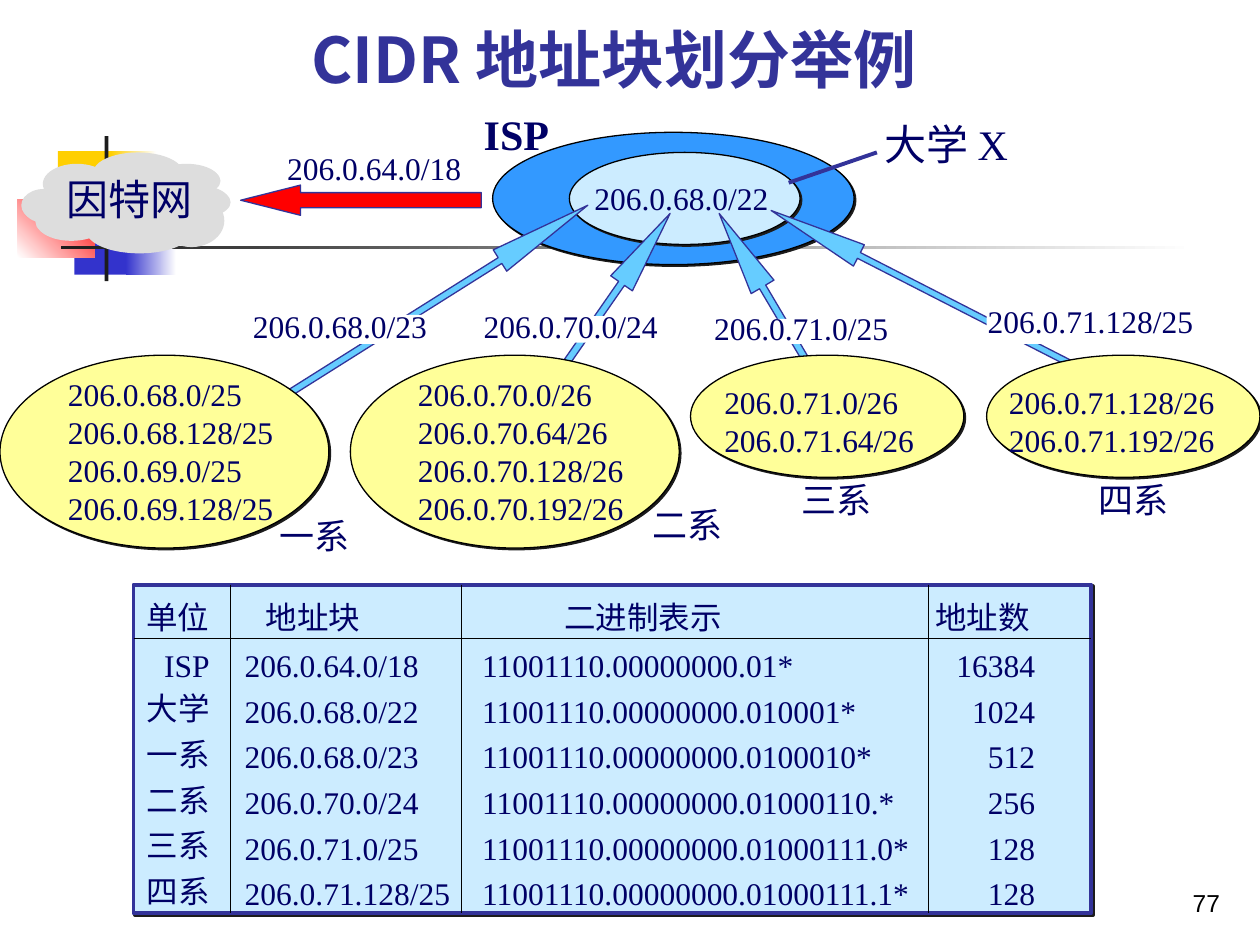
import pptx
import pptx.util
import pptx.dml.color
import pptx.enum.shapes
import pptx.enum.text
import pptx.oxml
import pptx.oxml.ns

Pt = pptx.util.Pt
SHAPE = pptx.enum.shapes.MSO_SHAPE
ALIGN = pptx.enum.text.PP_ALIGN
ANCHOR = pptx.enum.text.MSO_ANCHOR
NS = pptx.oxml.ns.nsdecls("a")
SERIF = "Times New Roman"
CJK = "Noto Sans CJK JP"
COLORS = {
    "ink": "000066", "title": "333399", "black": "000000", "white": "FFFFFF",
    "dark": "1C1C1C", "yellow": "FFCF01", "blue": "3333CC", "red": "FF0000",
    "cloud": "DDDDDD", "isp": "3399FF", "pale": "CCECFF", "arrow": "66CCFF",
    "department": "FFFF99",
}


def rgb(color):
    return pptx.dml.color.RGBColor.from_string(COLORS[color])


class SlideBuilder:
    def __init__(self, slide):
        self.slide = slide

    def shape(self, kind, box, fill, line=None, width=0.75, shadow=False, parent=None):
        shape = (parent or self.slide).shapes.add_shape(kind, *map(Pt, box))
        shape.shadow.inherit = False
        if isinstance(fill, tuple):
            start, end, angle = fill
            shape.fill.gradient()
            shape.fill.gradient_angle = angle
            for stop, color in zip(shape.fill.gradient_stops, (start, end)):
                stop.color.rgb = rgb(color)
        else:
            shape.fill.solid()
            shape.fill.fore_color.rgb = rgb(fill)
        if line:
            shape.line.color.rgb = rgb(line)
            shape.line.width = Pt(width)
        else:
            shape.line.fill.background()
        if shadow:
            effects = shape._element.spPr.find(pptx.oxml.ns.qn("a:effectLst"))
            effects.append(pptx.oxml.parse_xml(
                f'<a:outerShdw {NS} blurRad="0" dist="{Pt(1.4)}" dir="2700000">'
                f'<a:srgbClr val="{COLORS["dark"]}"/></a:outerShdw>'))
        return shape

    def arrow(self, box, fill, shaft, head, rotation=0):
        arrow = self.shape(SHAPE.LEFT_ARROW, box, fill, "title")
        arrow.adjustments[0], arrow.adjustments[1] = shaft, head
        arrow.rotation = rotation

    def run(self, paragraph, text, size, color="ink", font=SERIF, bold=False):
        run = paragraph.add_run()
        run.text = text
        run.font.size = Pt(size)
        run.font.bold = bold
        run.font.color.rgb = rgb(color)
        run.font.name = font
        run._r.get_or_add_rPr().append(
            pptx.oxml.parse_xml(f'<a:ea {NS} typeface="{CJK}"/>'))

    def text(self, box, lines, size=18, align=ALIGN.LEFT, anchor=ANCHOR.TOP,
             wrap=False, inset=(7.2, 3.6), **style):
        frame = self.slide.shapes.add_textbox(*map(Pt, box)).text_frame
        frame.word_wrap = wrap
        frame.vertical_anchor = anchor
        frame.margin_left = frame.margin_right = Pt(inset[0])
        frame.margin_top = frame.margin_bottom = Pt(inset[1])
        for index, line in enumerate(lines):
            paragraph = frame.add_paragraph() if index else frame.paragraphs[0]
            paragraph.alignment = align
            self.run(paragraph, line, size, **style)

    def line(self, start, end, color, width):
        line = self.slide.shapes.add_connector(
            pptx.enum.shapes.MSO_CONNECTOR.STRAIGHT, *map(Pt, start + end))
        line.line.color.rgb = rgb(color)
        line.line.width = Pt(width)
        line._element.spPr.append(pptx.oxml.parse_xml(f"<a:effectLst {NS}/>"))

    def borders(self, cell, visible):
        for side in "LRTB":
            paint = (f'<a:solidFill><a:srgbClr val="{COLORS["black"]}"/></a:solidFill>'
                     if side in visible else "<a:noFill/>")
            cell._tc.get_or_add_tcPr().append(pptx.oxml.parse_xml(
                f'<a:ln{side} {NS} w="{Pt(0.75)}">{paint}</a:ln{side}>'))

    def table(self, left, top, widths, heights, rows, header_margins, body_margins, aligns):
        table = self.slide.shapes.add_table(
            len(rows), len(widths), Pt(left), Pt(top),
            Pt(sum(widths)), Pt(sum(heights))).table
        table.first_row = table.horz_banding = False
        for column, width in zip(table.columns, widths):
            column.width = Pt(width)
        for r, values in enumerate(rows):
            table.rows[r].height = Pt(heights[r])
            for c, value in enumerate(values):
                cell = table.cell(r, c)
                cell.margin_top = cell.margin_bottom = 0
                cell.margin_left, cell.margin_right = map(
                    Pt, (body_margins if r else header_margins)[c])
                cell.vertical_anchor = ANCHOR.BOTTOM
                visible = ("L" if c else "") + ("R" if c < len(widths) - 1 else "")
                visible += {0: "B", 1: "T"}.get(r, "")
                self.borders(cell, visible)
                cell.fill.background()
                paragraph = cell.text_frame.paragraphs[0]
                paragraph.alignment = aligns[c] if r else ALIGN.LEFT
                self.run(paragraph, value, 18)


def main():
    deck = pptx.Presentation()
    deck.slide_width, deck.slide_height = Pt(720), Pt(540)
    page = SlideBuilder(deck.slides.add_slide(deck.slide_layouts[6]))

    for box, fill in [
        ((33.1, 86.4, 34.6, 37.4), "yellow"),
        ((63.4, 86.4, 25.9, 37.4), ("yellow", "white", 0)),
        ((42.5, 119.5, 33.1, 37.4), "blue"),
        ((72, 119.5, 28.8, 37.4), ("blue", "white", 0)),
        ((10.1, 113.8, 43.9, 33.1), ("white", "red", 45)),
        ((59.8, 77.8, 2.2, 82.8), "dark"),
        ((34.6, 140.4, 648, 2.2), ("dark", "white", 0)),
    ]:
        page.shape(SHAPE.RECTANGLE, box, fill)

    page.text((554.4, 491.8, 149.8, 36), ["77"], 14, ALIGN.RIGHT, ANCHOR.BOTTOM,
              wrap=True, color="black", font="Arial")
    page.text((48.2, 3.6, 605, 54.7), ["CIDR 地址块划分举例"], 36, ALIGN.CENTER,
              ANCHOR.BOTTOM, wrap=True, inset=(0, 3.6), color="title", font=CJK, bold=True)

    cloud = page.slide.shapes.add_group_shape()
    puffs = [
        (53.3, 87.1, 51.1, 23), (24.5, 93.6, 38.9, 23), (12.2, 108, 25.9, 18.7),
        (20.2, 116.6, 39.6, 20.2), (49, 119.5, 59.8, 24.5), (87.8, 93.6, 37.4, 18),
        (93.6, 105.8, 37.4, 18), (90, 110.2, 37.4, 30.2), (33.8, 100.8, 77, 30.2),
    ]
    for offset in (0.8, 0):
        for x, y, width, height in puffs:
            page.shape(SHAPE.OVAL, (x + offset, y + offset, width, height),
                       "cloud", parent=cloud)
    page.text((31, 95.8, 90, 36), ["因特网"], 24)

    page.shape(SHAPE.OVAL, (281.5, 75.6, 206.6, 75.6), "isp", "black", shadow=True)
    page.shape(SHAPE.OVAL, (325.4, 87.1, 131.8, 52.6), "pale", "black", shadow=True)
    page.text((332.6, 98.6, 113.8, 28.8), ["206.0.68.0/22"])
    page.text((157, 81.4, 113.8, 28.8), ["206.0.64.0/18"])
    page.arrow((137.5, 105.8, 137.5, 17.3), "red", 0.5, 1.98)
    page.text((269.3, 58.3, 51.8, 36), ["ISP"], 24, bold=True)
    page.text((498.2, 64.1, 90.7, 36), ["大学 X"], 24)
    page.line((450.7, 104.4), (501.1, 87.1), "title", 2.25)

    large, small = (187.9, 110.2), (156.2, 69.8)
    departments = [
        ("一系", (152.6, 290.2), (141.1, 166.3, 211, 14.4), 147.8, 4.12,
         "206.0.68.0/23", (137.5, 172.1), (144, 180, 105.8, 16.6), 0, large, (31.7, 211),
         ["206.0.68.0/25", "206.0.68.128/25", "206.0.69.0/25", "206.0.69.128/25"]),
        ("二系", (365.8, 284.4), (250.6, 183.6, 168.5, 15.1), 124.8, 3.22,
         "206.0.70.0/24", (269.3, 172.1), (275.8, 180.7, 106.6, 15.1), 200.2, large, (231.8, 211),
         ["206.0.70.0/26", "206.0.70.64/26", "206.0.70.128/26", "206.0.70.192/26"]),
        ("三系", (450.7, 270), (369.4, 187.2, 169.2, 15.1), 59.4, 3.23,
         "206.0.71.0/25", (401, 172.8), (406.8, 182.2, 105.8, 14.4), 394.6, small, (406.8, 215.3),
         ["206.0.71.0/26", "206.0.71.64/26"]),
        ("四系", (620.6, 270), (429.8, 158.4, 197.3, 13.7), 27.1, 4.12,
         "206.0.71.128/25", (557.3, 169.2), (563.8, 180, 124.6, 16.6), 563.8, small, (569.5, 215.3),
         ["206.0.71.128/26", "206.0.71.192/26"]),
    ]
    for (name, name_at, arrow_box, rotation, head, block, block_at, gap_box,
         oval_left, oval_size, subnets_at, subnets) in departments:
        page.arrow(arrow_box, "arrow", 0.27, head, rotation)
        page.shape(SHAPE.RECTANGLE, gap_box, "white")
        page.text(block_at + (131.8, 28.8), [block])
        page.shape(SHAPE.OVAL, (oval_left, 203) + oval_size, "department", "black", shadow=True)
        page.text(subnets_at + (131.8, 21.6 * len(subnets) + 7.2), subnets)
        page.text(name_at + (60, 31.7), [name], 20)

    page.shape(SHAPE.RECTANGLE, (76.3, 334.1, 547.2, 187.9), "pale", "title", 2.25, shadow=True)
    rows = [
        ("单位", "地址块", "二进制表示", "地址数"),
        ("ISP", "206.0.64.0/18", "11001110.00000000.01*", "16384"),
        ("大学", "206.0.68.0/22", "11001110.00000000.010001*", "1024"),
        ("一系", "206.0.68.0/23", "11001110.00000000.0100010*", "512"),
        ("二系", "206.0.70.0/24", "11001110.00000000.01000110.*", "256"),
        ("三系", "206.0.71.0/25", "11001110.00000000.01000111.0*", "128"),
        ("四系", "206.0.71.128/25", "11001110.00000000.01000111.1*", "128"),
    ]
    page.table(76.3, 334.1, [55.5, 131.7, 267.1, 92.9], [30.9] + [26.1] * 6, rows,
               [(7.2, 0), (20, 0), (59, 0), (4, 0)],
               [(0, 12), (8, 0), (12, 0), (0, 32)],
               [ALIGN.RIGHT, ALIGN.LEFT, ALIGN.LEFT, ALIGN.RIGHT])

    deck.save("out.pptx")


if __name__ == "__main__":
    main()
